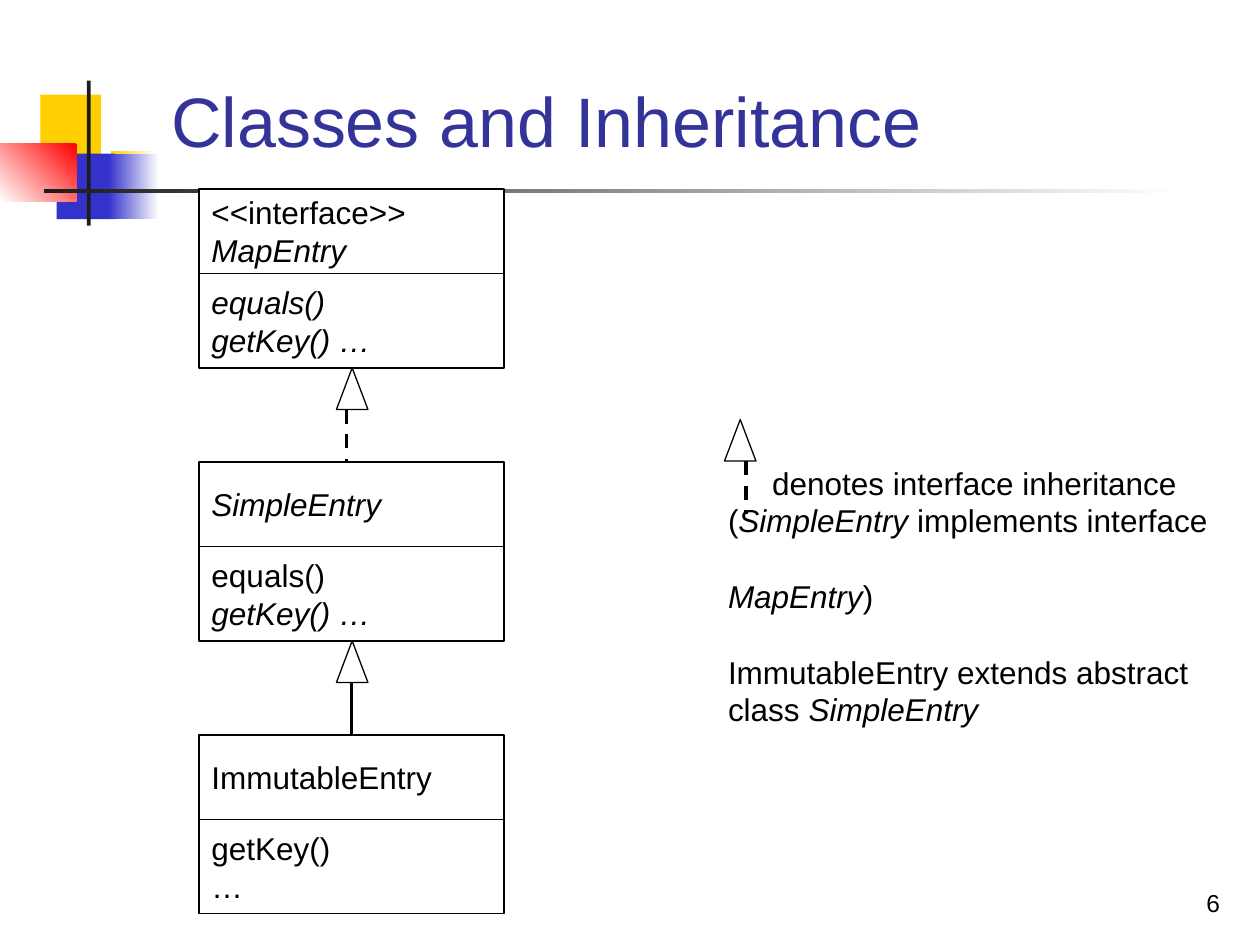
import pptx
import pptx.dml.color
import pptx.enum.dml
import pptx.enum.shapes
import pptx.enum.text
import pptx.oxml.ns
import pptx.util
from lxml import etree

Inches = pptx.util.Inches
Pt = pptx.util.Pt
SHAPE = pptx.enum.shapes.MSO_SHAPE
ANCHOR = pptx.enum.text.MSO_ANCHOR
ALIGN = pptx.enum.text.PP_ALIGN


def rgb(value):
    return pptx.dml.color.RGBColor.from_string(value)


class Diagram:
    """Holds the text style and the slide, and draws each kind of element."""

    font = "Arial"
    ink = "000000"
    paper = "FFFFFF"
    size = 18
    leading = 21.6

    def __init__(self, slide):
        self.slide = slide

    def shape(self, kind, x, y, w, h, fill, line=None):
        sp = self.slide.shapes.add_shape(kind, Inches(x), Inches(y), Inches(w), Inches(h))
        sp.shadow.inherit = False
        sp.fill.solid()
        sp.fill.fore_color.rgb = rgb(fill)
        if line:
            sp.line.color.rgb = rgb(line)
            sp.line.width = Pt(0.75)
        else:
            sp.line.fill.background()
        return sp

    def fade(self, x, y, w, h, start, end, angle=180):
        sp = self.shape(SHAPE.RECTANGLE, x, y, w, h, start)
        sp.fill.gradient()
        sp.fill.gradient_angle = angle
        for stop, color in zip(sp.fill.gradient_stops, (start, end)):
            stop.color.rgb = rgb(color)

    def set_lines(self, tf, lines, anchor=ANCHOR.TOP):
        """Fill a text frame; asterisks switch italics and \\n breaks a line."""
        tf.word_wrap = True
        tf.vertical_anchor = anchor
        for i, line in enumerate(lines):
            p = tf.paragraphs[0] if i == 0 else tf.add_paragraph()
            p.alignment = ALIGN.LEFT
            p.line_spacing = Pt(self.leading)
            self.style(p, self.size, self.ink)
            parts = [(k % 2 == 1, t) for k, t in enumerate(line.split("*")) if t]
            mixed = len(parts) > 1
            if not mixed:
                p.font.italic = parts[0][0]
            for italic, text in parts:
                for k, piece in enumerate(text.split("\n")):
                    if k:
                        p.add_line_break()
                    if piece:
                        r = p.add_run()
                        r.text = piece
                        if mixed:
                            r.font.italic = italic

    def style(self, p, size, color):
        p.font.name = self.font
        p.font.size = Pt(size)
        p.font.color.rgb = rgb(color)

    def textbox(self, x, y, w, h):
        box = self.slide.shapes.add_textbox(Inches(x), Inches(y), Inches(w), Inches(h))
        box.text_frame.word_wrap = True
        return box.text_frame

    def label(self, text, x, y, w, h, size, color, align):
        tf = self.textbox(x, y, w, h)
        tf.vertical_anchor = ANCHOR.BOTTOM
        p = tf.paragraphs[0]
        p.text = text
        p.alignment = align
        self.style(p, size, color)

    def class_box(self, x, y, header, members):
        for top, h, lines in ((y, 0.67, header), (y + 0.67, 0.75, members)):
            sp = self.shape(SHAPE.RECTANGLE, x, top, 2.42, h, self.paper, self.ink)
            self.set_lines(sp.text_frame, lines, ANCHOR.MIDDLE)

    def inheritance(self, x, y, line_x, dashed):
        self.shape(SHAPE.ISOSCELES_TRIANGLE, x, y, 0.25, 0.33, self.paper, self.ink)
        line = self.slide.shapes.add_connector(
            pptx.enum.shapes.MSO_CONNECTOR.STRAIGHT,
            Inches(line_x), Inches(y + 0.33), Inches(line_x), Inches(y + 0.75))
        line.line.color.rgb = rgb(self.ink)
        line.line.width = Pt(2)
        if dashed:
            line.line.dash_style = pptx.enum.dml.MSO_LINE.DASH
        etree.SubElement(line._element.spPr, pptx.oxml.ns.qn("a:effectLst"))


def main():
    prs = pptx.Presentation()
    prs.slide_width, prs.slide_height = Inches(10), Inches(7.5)
    d = Diagram(prs.slides.add_slide(prs.slide_layouts[6]))

    d.shape(SHAPE.RECTANGLE, 0.32, 0.75, 0.48, 0.52, "FFCF01")
    d.fade(0.88, 1.2, 0.36, 0.52, "FFFFFF", "FFCF01")
    d.shape(SHAPE.RECTANGLE, 0.45, 1.22, 0.46, 0.52, "3333CC")
    d.fade(0.86, 1.22, 0.4, 0.52, "FFFFFF", "3333CC")
    d.fade(0, 1.14, 0.61, 0.46, "FF0000", "FFFFFF", 225)
    d.shape(SHAPE.RECTANGLE, 0.69, 0.64, 0.03, 1.15, "1C1C1C")
    d.fade(0.35, 1.5, 9, 0.03, "FFFFFF", "1C1C1C")
    d.label("Classes and Inheritance", 1.26, 0.23, 8.52, 1.1, 40, "333399", ALIGN.LEFT)

    classes = [
        (["<<interface>>", "*MapEntry*"], ["*equals()*", "*getKey() …*"]),
        (["*SimpleEntry*"], ["equals()", "*getKey() …*"]),
        (["ImmutableEntry"], ["getKey()", "…"]),
    ]
    top, pitch = 1.5, 6.5 / 3
    for i, (header, members) in enumerate(classes):
        d.class_box(1.58, top + i * pitch, header, members)
    d.inheritance(2.67, top + 1.42, 2.75, True)
    d.inheritance(2.67, top + pitch + 1.42, 2.79, False)

    tf = d.textbox(5.68, 3.63, 4.07, 1.9)
    d.set_lines(tf, [
        "denotes interface inheritance",
        "(*SimpleEntry* implements interface \n*MapEntry*)",
        "ImmutableEntry extends abstract",
        "class* SimpleEntry*",
    ])
    tf.paragraphs[0]._p.get_or_add_pPr().set("indent", str(Inches(0.35)))
    tf.paragraphs[2].space_before = Pt(d.leading)
    d.inheritance(5.75, 3.33, 5.92, True)

    d.label("6", 7.7, 6.83, 2.08, 0.5, 14, d.ink, ALIGN.RIGHT)
    prs.save("out.pptx")


if __name__ == "__main__":
    main()
